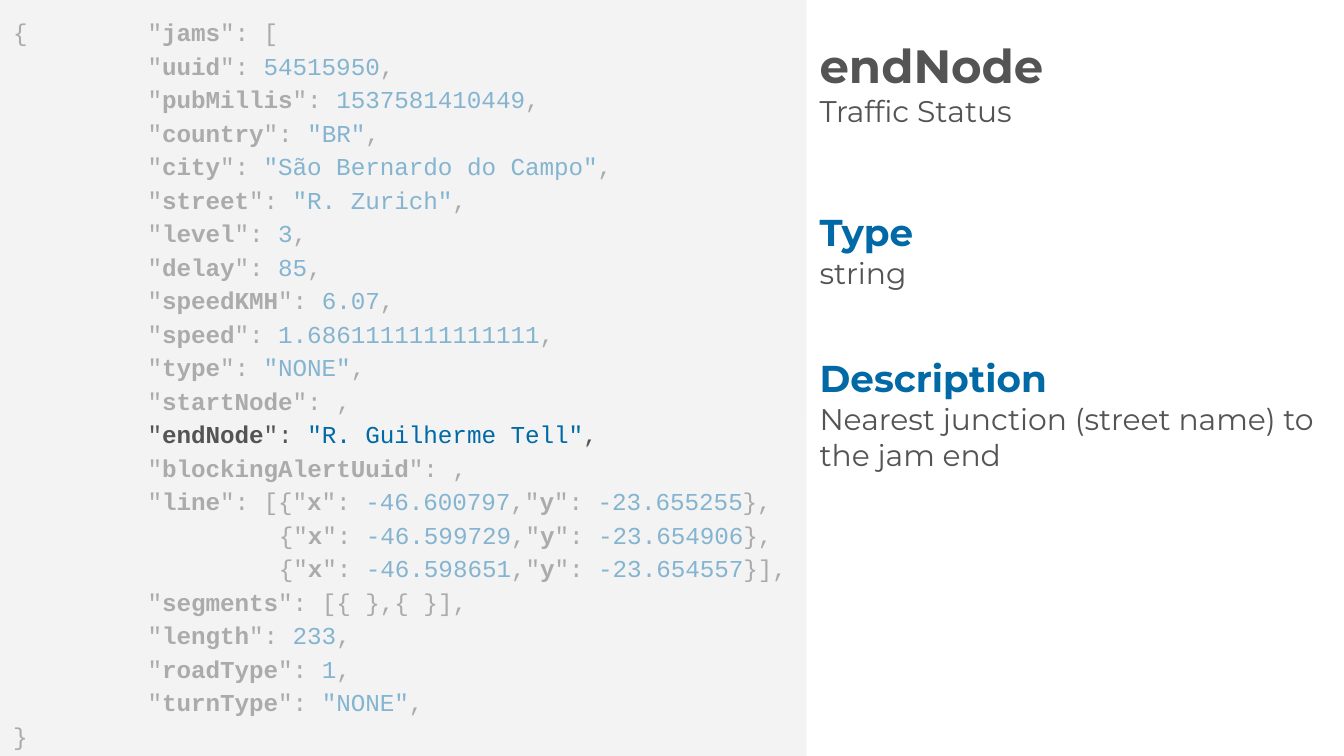
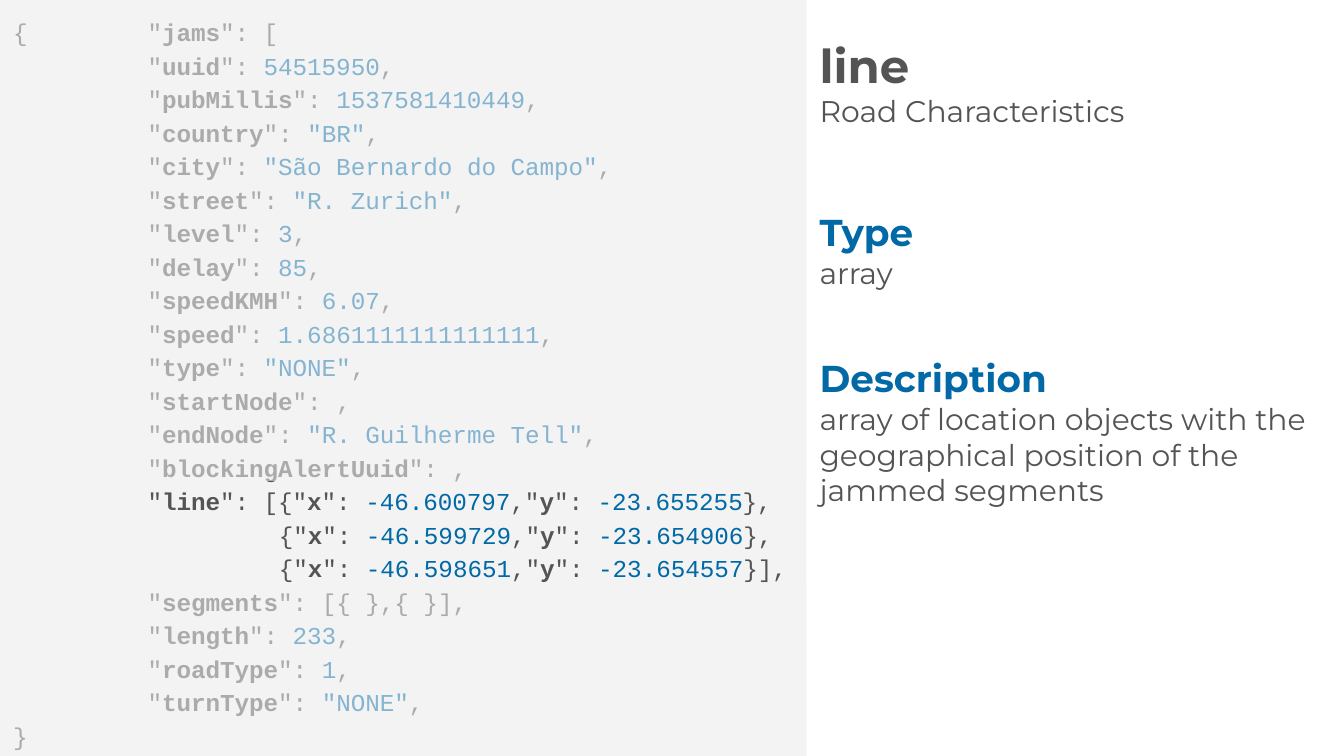
from lxml import etree
from pptx import Presentation
from pptx import util as u
from pptx.dml import color
from pptx.enum import shapes, text
from pptx.oxml import ns

INK, BLUE, GREY = "545454", "0069A6", "F3F3F3"
CODE, SANS = "Courier New", "Montserrat"
WIDE, HIGH = 25.4, 14.29
SPLIT = 15.24   # width of the code panel
PAD = 0.25      # text inset
STEP = 2.54     # indent of the fields
DEEP = 5.02     # indent of the further points


def rgb(tone):
    return color.RGBColor.from_string(tone)


def pair(key, val="", end=",", head='"'):
    """Runs of one field: (words, colour, bold)."""
    runs = [(head, INK, False), (key, INK, True), ('": ', INK, False),
            (val, BLUE, False), (end, INK, False)]
    return [run for run in runs if run[0]]


def point(x, y, end="},"):
    return pair("x", x, head='{"') + pair("y", y, end)


def fields(*rows):
    return [(STEP, pair(*row)) for row in rows]


# Each line: indent, runs
LINES = [
    (0, pair("jams", end="[", head='{\t"')),
    *fields(
        ("uuid", "54515950"),
        ("pubMillis", "1537581410449"),
        ("country", '"BR"'),
        ("city", '"São Bernardo do Campo"'),
        ("street", '"R. Zurich"'),
        ("level", "3"),
        ("delay", "85"),
        ("speedKMH", "6.07"),
        ("speed", "1.6861111111111111"),
        ("type", '"NONE"'),
        ("startNode",),
        ("endNode", '"R. Guilherme Tell"'),
        ("blockingAlertUuid",),
    ),
    (STEP, pair("line", end="[") + point("-46.600797", "-23.655255")),
    (DEEP, point("-46.599729", "-23.654906")),
    (DEEP, point("-46.598651", "-23.654557", "}],")),
    *fields(
        ("segments", "", "[{ },{ }],"),
        ("length", "233"),
        ("roadType", "1"),
        ("turnType", '"NONE"'),
    ),
    (0, [("}", INK, False)]),
]

# Name, group, type, description, lit band (top, bottom)
PAGES = [
    ("endNode", "Traffic Status", "string",
     ["Nearest junction (street name) to the jam end"], (7.87, 8.43)),
    ("line", "Road Characteristics", "array",
     ["array of location objects with the",
      "geographical position of the jammed segments"], (9.09, 11.1)),
]


def add_run(para, words, face, size, tone, bold=False):
    run = para.add_run()
    run.text = words
    font = run.font
    font.name, font.size, font.bold = face, u.Pt(size), bold
    font.color.rgb = rgb(tone)


def set_frame(frame, anchor):
    frame.word_wrap = True
    frame.vertical_anchor = anchor
    frame.margin_left = frame.margin_right = u.Cm(PAD)
    frame.margin_top = frame.margin_bottom = u.Cm(PAD)


def next_para(frame, i):
    para = frame.paragraphs[0] if i == 0 else frame.add_paragraph()
    para.alignment = text.PP_ALIGN.LEFT
    return para


def add_text(slide, box, rows, anchor=text.MSO_ANCHOR.TOP):
    """Rows are (words, size, colour, bold), one paragraph each."""
    frame = slide.shapes.add_textbox(*map(u.Cm, box)).text_frame
    set_frame(frame, anchor)
    for i, (words, size, tone, bold) in enumerate(rows):
        add_run(next_para(frame, i), words, SANS, size, tone, bold)


def add_rect(slide, box, alpha=None):
    rect = slide.shapes.add_shape(shapes.MSO_SHAPE.RECTANGLE, *map(u.Cm, box))
    rect.shadow.inherit = False
    rect.line.fill.background()
    rect.fill.solid()
    rect.fill.fore_color.rgb = rgb(GREY)
    if alpha:
        tone = next(rect.fill._xPr.iter(ns.qn("a:srgbClr")))
        etree.SubElement(tone, ns.qn("a:alpha")).set("val", str(alpha * 1000))
    return rect


def add_code(slide, box):
    frame = add_rect(slide, box).text_frame
    set_frame(frame, text.MSO_ANCHOR.TOP)
    for i, (left, runs) in enumerate(LINES):
        para = next_para(frame, i)
        para.line_spacing = 1.15
        props = para._p.get_or_add_pPr()
        props.set("marL", str(u.Cm(left)))
        props.set("indent", "0")
        # Tab width lines the first key up with the rest
        props.set("defTabSz", str(u.Cm(STEP)))
        for words, tone, bold in runs:
            add_run(para, words, CODE, 13, tone, bold)


def add_veils(slide, box, band):
    """Dim the code above and below the lit band with shifted panels."""
    x, y, w, h = box
    top, low = band
    for shift in (low, top - h):
        add_rect(slide, (x, y + shift, w, h), 55)


def add_notes(slide, box, name, group, kind, about):
    x, y, w, h = box
    # Title
    add_text(slide, (x, y + 0.4, w, 2.33),
             [(name, 25, INK, True), (group, 16, INK, False)],
             text.MSO_ANCHOR.MIDDLE)
    # Headed sections
    for top, head, rows, size in (
            (3.71, "Type", [kind], (9.14, 2.21)),
            (6.46, "Description", about, (w, 6.68))):
        add_text(slide, (x, y + top + 0.86, *size),
                 [(row, 16, INK, False) for row in rows])
        add_text(slide, (x, y + top, 4.9, 1.27), [(head, 20, BLUE, True)])


def add_page(deck, name, group, kind, about, band):
    slide = deck.slides.add_slide(deck.slide_layouts[6])
    panel = (0, 0, SPLIT, HIGH)
    add_code(slide, panel)
    add_notes(slide, (SPLIT, 0, WIDE - SPLIT, HIGH), name, group, kind, about)
    add_veils(slide, panel, band)


def main():
    deck = Presentation()
    deck.slide_width, deck.slide_height = u.Cm(WIDE), u.Cm(HIGH)
    for page in PAGES:
        add_page(deck, *page)
    deck.save("out.pptx")


if __name__ == "__main__":
    main()
